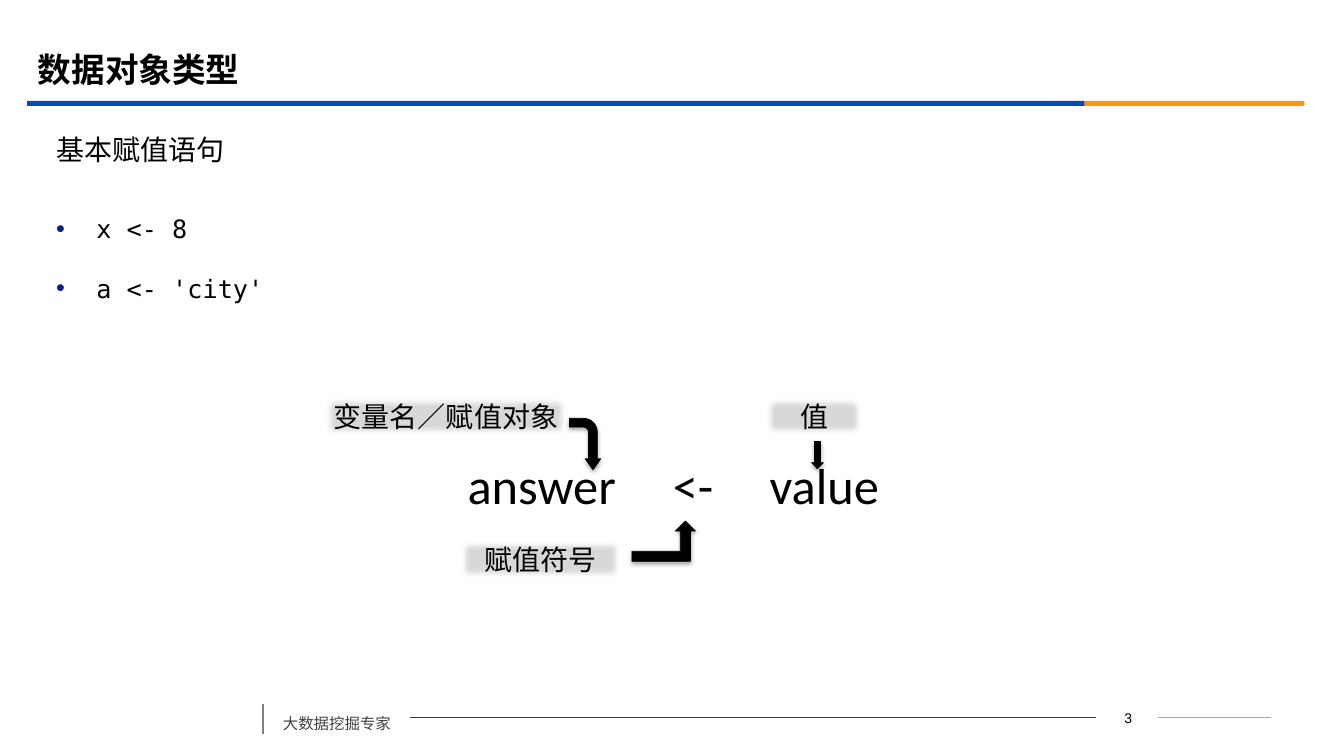
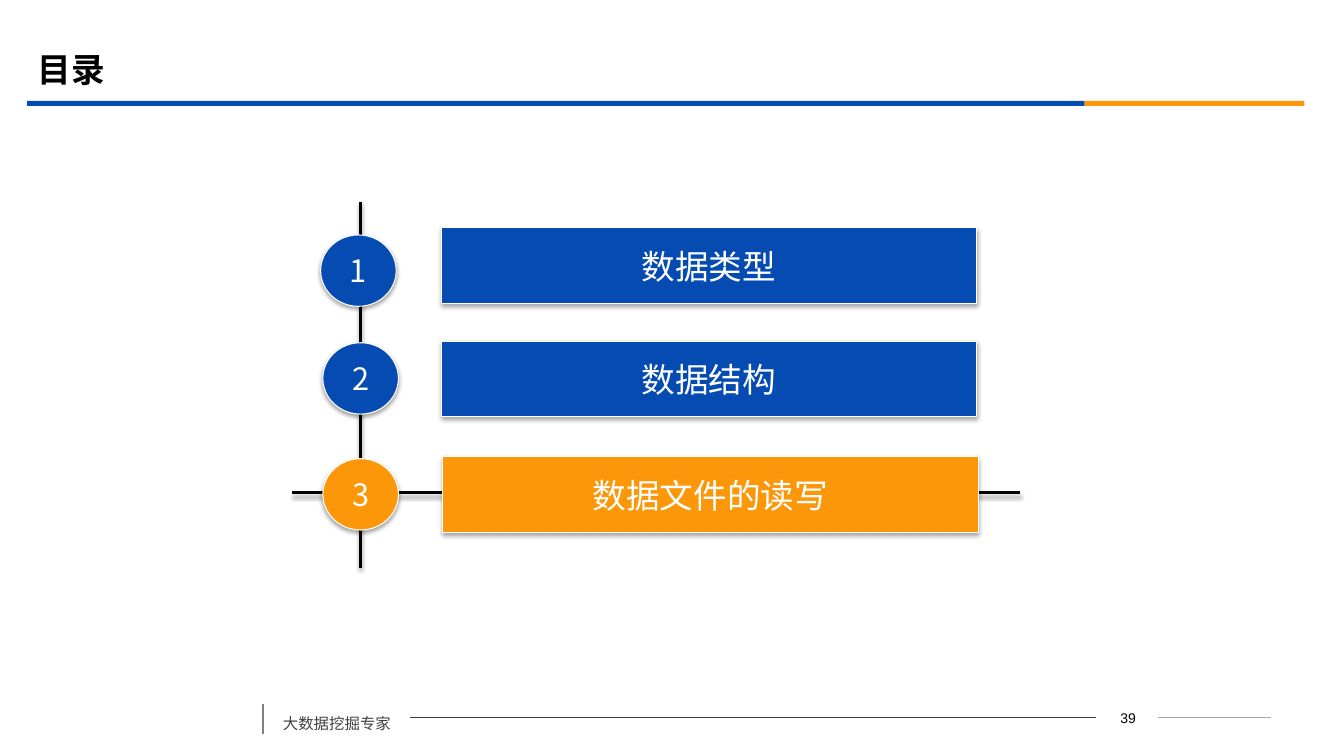
from lxml import etree
from pptx import Presentation
from pptx.dml.color import RGBColor
from pptx.enum.shapes import MSO_CONNECTOR, MSO_SHAPE
from pptx.enum.text import MSO_ANCHOR, PP_ALIGN
from pptx.oxml import parse_xml
from pptx.oxml.ns import qn
from pptx.util import Pt

STRAIGHT = MSO_CONNECTOR.STRAIGHT
RECTANGLE = MSO_SHAPE.RECTANGLE
ELLIPSE = MSO_SHAPE.OVAL
BUTTON = MSO_SHAPE.ACTION_BUTTON_CUSTOM
CENTER, LEFT = PP_ALIGN.CENTER, PP_ALIGN.LEFT
TOP, MIDDLE = MSO_ANCHOR.TOP, MSO_ANCHOR.MIDDLE

BLUE, ORANGE = "064BB2", "FB9708"
BLACK, WHITE = "000000", "FFFFFF"
DARK_GREY, MID_GREY, SOFT_GREY, LABEL_GREY = "404040", "808080", "A6A6A6", "D9D9D9"
CJK, MONO = "Noto Sans CJK SC", "DejaVu Sans Mono"

SHADOW = (
    '<a:outerShdw blurRad="39370" dist="22860" dir="5400000" rotWithShape="0">'
    '<a:srgbClr val="000000"><a:alpha val="35000"/></a:srgbClr></a:outerShdw>'
)
SOFT_EDGE = '<a:softEdge rad="63500"/>'
DRAWING = "http://schemas.openxmlformats.org/drawingml/2006/main"


def dress(shape, fill=None, line=None, weight=0.75, effect=""):
    """Set fill, outline and effect; an empty effect removes the theme shadow."""
    if fill:
        shape.fill.solid()
        shape.fill.fore_color.rgb = RGBColor.from_string(fill)
    if line:
        shape.line.color.rgb = RGBColor.from_string(line)
        shape.line.width = Pt(weight)
    else:
        shape.line.fill.background()
    effects = f'<a:effectLst xmlns:a="{DRAWING}">{effect}</a:effectLst>'
    shape._element.spPr.append(parse_xml(effects))


def write(box, text, size, colour=BLACK, font=CJK, align=LEFT, anchor=TOP, wrap=True):
    """Fill the box with text, one paragraph per line, and format its runs."""
    frame = box.text_frame
    frame.text = text
    frame.word_wrap = wrap
    frame.vertical_anchor = anchor
    for para in frame.paragraphs:
        para.alignment = align
        for span in para.runs:
            span.font.size = Pt(size)
            span.font.color.rgb = RGBColor.from_string(colour)
            span.font.name = font
            east_asian = etree.SubElement(span.font._element, qn("a:ea"))
            east_asian.set("typeface", CJK)
    return frame.paragraphs


deck = Presentation()
deck.slide_width, deck.slide_height = Pt(960), Pt(540)
blank = deck.slide_layouts[6]

# Shared title, band and footer
pages = []
for title, number in (("数据对象类型", "3"), ("目录", "39")):
    page = deck.slides.add_slide(blank)
    pages.append(page)

    for left, width, colour in ((19.4, 755.3, BLUE), (774.7, 157, ORANGE)):
        band = page.shapes.add_shape(RECTANGLE, Pt(left), Pt(72), Pt(width), Pt(3.6))
        dress(band, colour)

    for x1, y1, x2, y2, colour, weight in (
        (827.3, 512.6, 907.9, 512.6, SOFT_GREY, 0.75),
        (293, 512.6, 782.6, 512.6, DARK_GREY, 0.75),
        (188, 502.6, 188, 524.2, MID_GREY, 1.25),
    ):
        rule = page.shapes.add_connector(STRAIGHT, Pt(x1), Pt(y1), Pt(x2), Pt(y2))
        dress(rule, line=colour, weight=weight)

    title_box = page.shapes.add_textbox(Pt(20), Pt(28), Pt(864), Pt(42))
    write(title_box, title, 24, anchor=MIDDLE)[0].runs[0].font.bold = True

    footer = page.shapes.add_textbox(Pt(195), Pt(499.7), Pt(98), Pt(27.4))
    footer_para = write(footer, "大数据挖掘专家", 11, DARK_GREY)[0]
    footer_para.line_spacing = 1.5
    footer_para.space_before = Pt(6)

    number_box = page.shapes.add_textbox(Pt(783.6), Pt(503.3), Pt(44.6), Pt(18))
    write(number_box, number, 10, font="Arial", align=CENTER)

assignment, contents = pages

# Assignment: heading and examples
heading = assignment.shapes.add_textbox(Pt(33), Pt(89.3), Pt(875), Pt(34))
write(heading, "基本赋值语句", 20, anchor=MIDDLE)

examples = assignment.shapes.add_textbox(Pt(33), Pt(138.2), Pt(875), Pt(344))
for para in write(examples, "x <- 8\na <- 'city'", 18, font=MONO):
    para.line_spacing = 1.5
    para.space_before = Pt(10)
    properties = para._p.get_or_add_pPr()
    properties.set("marL", str(Pt(28.8)))
    properties.set("indent", str(Pt(-28.8)))
    bullet_colour = etree.SubElement(properties, qn("a:buClr"))
    etree.SubElement(bullet_colour, qn("a:srgbClr")).set("val", "032089")
    etree.SubElement(properties, qn("a:buFont")).set("typeface", "Arial")
    etree.SubElement(properties, qn("a:buChar")).set("char", "•")

# Assignment: annotated statement
for word, left, width in (("answer", 326.9, 130), ("<-", 473.5, 50), ("value", 542.7, 110)):
    part = assignment.shapes.add_textbox(Pt(left), Pt(321.1), Pt(width), Pt(51))
    write(part, word, 36, font="Calibri", wrap=False)

for text, left, top, width in (
    ("变量名／赋值对象", 230.4, 281.5, 176.4),
    ("值", 545, 281.5, 73.4),
    ("赋值符号", 326.9, 383.8, 118.8),
):
    label = assignment.shapes.add_shape(RECTANGLE, Pt(left), Pt(top), Pt(width), Pt(31.7))
    dress(label, LABEL_GREY, effect=SOFT_EDGE)
    write(label, text, 20, font="Lato", align=CENTER, wrap=False)

for kind, left, top, width, height, turn, adjustments in (
    (MSO_SHAPE.BENT_ARROW, 399.6, 306, 36.7, 22.3, 90, (0.28, 0.25, 0.35, 0.44)),
    (MSO_SHAPE.DOWN_ARROW, 579.6, 315.4, 8.6, 19.4, 0, (0.5, 0.5)),
    (MSO_SHAPE.BENT_UP_ARROW, 451.4, 372.2, 45.4, 28.8, 0, (0.25, 0.25, 0.25)),
):
    arrow = assignment.shapes.add_shape(kind, Pt(left), Pt(top), Pt(width), Pt(height))
    arrow.rotation = turn
    for index, value in enumerate(adjustments):
        arrow.adjustments[index] = value
    dress(arrow, BLACK, BLACK, 0.5, SHADOW)

# Contents: axes, then one numbered row per chapter
for x1, y1, x2, y2 in ((257.4, 144, 257.4, 406), (208.8, 352, 728.6, 352)):
    axis = contents.shapes.add_connector(STRAIGHT, Pt(x1), Pt(y1), Pt(x2), Pt(y2))
    dress(axis, line=BLACK, weight=2, effect=SHADOW)

chapters = (
    ("数据类型", BLUE, 229, 167.8, 315.2, 162.7),
    ("数据结构", BLUE, 230.6, 244.8, 315.2, 243.6),
    ("数据文件的读写", ORANGE, 230.6, 327.6, 316.3, 326.4),
)
for number, (chapter, colour, disc_left, disc_top, bar_left, bar_top) in enumerate(chapters, 1):
    for kind, left, top, width, height, text, size in (
        (ELLIPSE, disc_left, disc_top, 54, 51, str(number), 22),
        (BUTTON, bar_left, bar_top, 382.3, 54, chapter, 24),
    ):
        shape = contents.shapes.add_shape(kind, Pt(left), Pt(top), Pt(width), Pt(height))
        dress(shape, colour, WHITE, effect=SHADOW)
        write(shape, text, size, WHITE, align=CENTER, anchor=MIDDLE, wrap=False)

deck.save("out.pptx")
